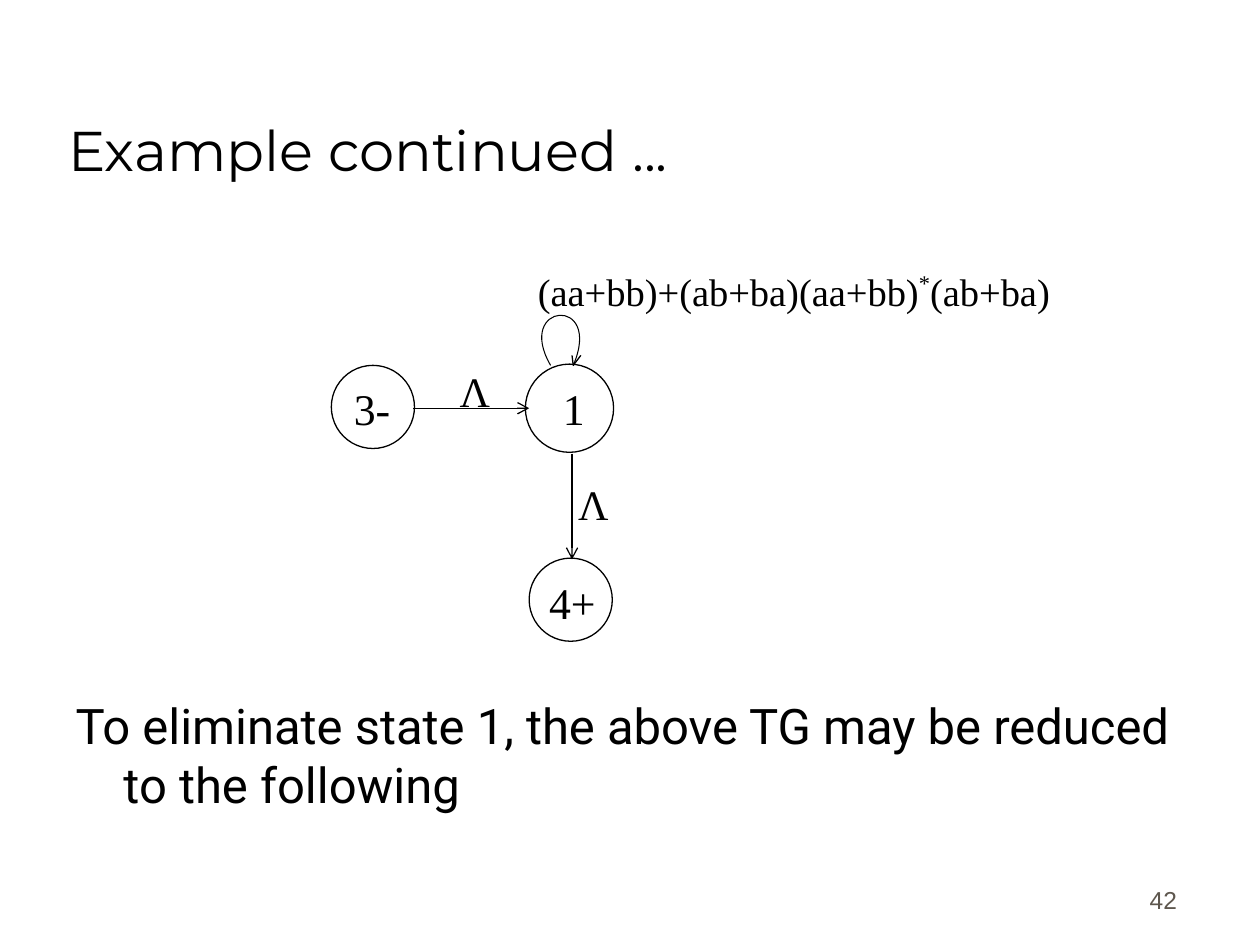
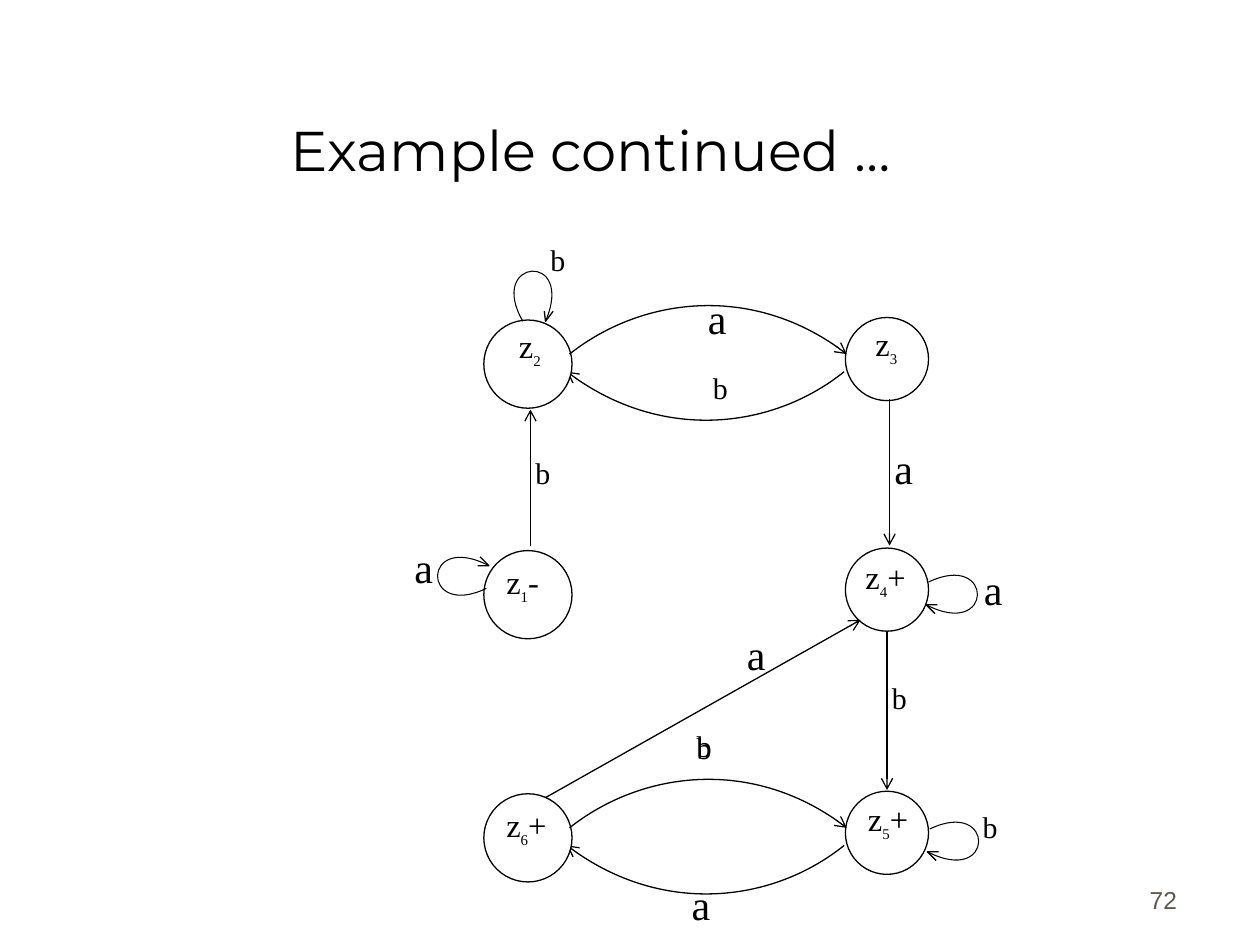
from lxml.etree import SubElement as Sub
from pptx import Presentation
from pptx.dml.color import RGBColor as Rgb
from pptx.enum.shapes import MSO_CONNECTOR as Line, MSO_SHAPE as Shape
from pptx.enum.text import MSO_ANCHOR as Anchor, MSO_AUTO_SIZE as Auto, PP_ALIGN as Align
from pptx.oxml.ns import qn
from pptx.util import Inches, Pt

HUE = {"ink": "000000", "paper": "FFFFFF", "page": "5E574E"}
SERIF = "Times New Roman"

FIRST = {"title": "Example continued ...", "align": Align.LEFT, "page": "42"}
NEXT = {"title": "Example continued …", "align": Align.CENTER, "page": "72"}
NOTE = "To eliminate state 1, the above TG may be reduced to the following"
REGEX = [("(aa+bb)+(ab+ba)(aa+bb)", 0), ("*", 40), ("(ab+ba)", 0)]

STATES = [(4.17, 2.89, 0.7), (4.2, 4.43, 0.66), (2.63, 2.9, 0.66)]
MARKS = [
    ("Λ", 24, 3.55, 2.85, 0.44), ("Λ", 24, 4.49, 3.75, 0.44),
    ("4+", 25, 4.26, 4.52, 0.57), ("3-", 25, 2.71, 2.98, 0.49),
    ("1", 25, 4.37, 2.98, 0.37),
]
STEPS = [((3.28, 3.24), (4.2, 3.24)), ((4.54, 3.6), (4.54, 4.44))]

ROWS = [(2.52, True), (4.35, False), (6.28, True)]
LEFT, RIGHT = 3.84, 6.71
LOW = [(6.7, 0.43), (6.14, 0.88), (5.23, 0.99), (4.5, 0.43)]
HIGH = [(4.52, 0.29), (5.09, -0.16), (6, -0.27), (6.72, 0.29)]
NAMES = [
    ("2", "", 4.02, 2.58), ("3", "", 6.85, 2.56), ("1", "-", 3.92, 4.45),
    ("4", "+", 6.77, 4.41), ("6", "+", 3.92, 6.38), ("5", "+", 6.79, 6.33),
]
EDGES = [
    ((7.06, 3.17), (7.06, 4.33)), ((4.33, 6.33), (6.83, 4.92)),
    ((7.04, 5.02), (7.04, 6.27)), ((4.21, 4.33), (4.21, 3.25)),
]
SPOTS = {
    "a": [(5.39, 6.92), (5.52, 2.27), (7, 3.46), (5.83, 4.94), (7.71, 4.42), (3.19, 4.25)],
    "b": [(5.43, 5.8), (5.43, 5.78), (5.56, 2.94), (6.98, 5.4), (4.15, 3.61),
          (4.27, 1.92), (7.7, 6.42)],
}
SIZES = {"a": (24, 0.75, 0.54, None), "b": (17.1, 1.01, 0.41, 0.8)}

TOP = {"curve": [(-0.18, 0), (-0.47, -0.5), (0.24, -0.56), (0, 0)],
       "head": [(0.06, -0.08), (0, 0), (-0.01, -0.08)]}
SIDE = {"curve": [(0.02, -0.18), (0.54, -0.43), (0.54, 0.28), (0, 0)],
        "head": [(0.07, 0.07), (0, 0), (0.09, 0)]}


def style(font, size, face, hue="ink"):
    font.size, font.name = Pt(size), face
    font.color.rgb = Rgb.from_string(HUE[hue])


def ink(shape, width=0.75, arrow=False):
    shape.line.color.rgb = Rgb.from_string(HUE["ink"])
    shape.line.width = Pt(width)
    if arrow:
        Sub(shape.line._get_or_add_ln(), qn("a:tailEnd"), type="arrow")


def place(shape, x, y, w, h):
    shape.left, shape.top, shape.width, shape.height = map(Inches, (x, y, w, h))


def label(slide, runs, size, x, y, w, h, wrap=True, space=None, small=None):
    frame = slide.shapes.add_textbox(*map(Inches, (x, y, w, h))).text_frame
    frame.word_wrap = wrap
    para = frame.paragraphs[0]
    style(para.font, size, SERIF)
    if space:
        para.line_spacing = space
    for text, base in runs:
        run = para.add_run()
        run.text = text
        style(run.font, small if base and small else size, SERIF)
        if base:
            run.font._element.set("baseline", str(base * 1000))


def circle(slide, x, y, d):
    shape = slide.shapes.add_shape(Shape.OVAL, *map(Inches, (x, y, d, d)))
    shape.shadow.inherit = False
    shape.fill.solid()
    shape.fill.fore_color.rgb = Rgb.from_string(HUE["paper"])
    ink(shape)


def trace(slide, spots, width=0.75, arrow=False):
    spots = [(Inches(x), Inches(y)) for x, y in spots]
    pen = slide.shapes.build_freeform(*spots[0])
    pen.add_line_segments(spots[1:], close=False)
    shape = pen.convert_to_shape()
    shape.shadow.inherit = False
    shape.fill.background()
    ink(shape, width, arrow)
    return shape


def bend(slide, knots, width=0.75, arrow=False):
    spots = []
    for step in range(41):
        t = step / 40
        mix = ((1 - t) ** 3, 3 * t * (1 - t) ** 2, 3 * t * t * (1 - t), t ** 3)
        spots.append([sum(m * k[axis] for m, k in zip(mix, knots)) for axis in (0, 1)])
    shape = trace(slide, spots, width, arrow)
    route = shape._element.find(".//" + qn("a:path"))
    for item in route.findall(qn("a:lnTo")):
        route.remove(item)
    cubic = Sub(route, qn("a:cubicBezTo"))
    for x, y in knots[1:]:
        Sub(cubic, qn("a:pt"), x=str(Inches(x) - shape.left), y=str(Inches(y) - shape.top))


def loop(slide, kind, x, y, sign=1):
    curve, head = ([(x + sign * dx, y + sign * dy) for dx, dy in kind[part]]
                   for part in ("curve", "head"))
    bend(slide, curve, 0.6)
    trace(slide, head)


def link(slide, start, end):
    line = slide.shapes.add_connector(Line.STRAIGHT, *map(Inches, start + end))
    ink(line, arrow=True)
    Sub(line._element.spPr, qn("a:effectLst"))


def begin(deck, layout, info):
    slide = deck.slides.add_slide(deck.slide_layouts[layout])
    title = slide.shapes.title
    place(title, 0.44, 0.25, 8.5, 1.25)
    frame = title.text_frame
    frame.text = info["title"]
    frame.vertical_anchor, frame.auto_size = Anchor.BOTTOM, Auto.NONE
    para = frame.paragraphs[0]
    para.alignment = info["align"]
    style(para.font, 32, "Montserrat")

    frame = slide.shapes.add_textbox(*map(Inches, (7.36, 6.81, 2.08, 0.5))).text_frame
    frame.word_wrap, frame.vertical_anchor = True, Anchor.BOTTOM
    frame.text = info["page"]
    para = frame.paragraphs[0]
    para.alignment = Align.RIGHT
    style(para.font, 14, "Arial", "page")
    return slide


def reduce(deck):
    slide = begin(deck, 1, FIRST)
    body = slide.placeholders[1]
    place(body, 0.5, 5.47, 8.94, 1.15)
    frame = body.text_frame
    frame.text, frame.auto_size = NOTE, Auto.NONE
    para = frame.paragraphs[0]
    props = para._p.get_or_add_pPr()
    props.set("marL", str(Inches(0.38)))
    props.set("indent", str(Inches(-0.38)))
    Sub(props, qn("a:buNone"))
    para.space_before = Pt(0)
    style(para.font, 28, "Roboto")

    for state in STATES:
        circle(slide, *state)
    loop(slide, TOP, 4.55, 2.9)
    for start, end in STEPS:
        link(slide, start, end)
    for text, size, x, y, w in MARKS:
        label(slide, [(text, 0)], size, x, y, w, 0.5, wrap=False)
    label(slide, REGEX, 22, 4.17, 2.08, 4.79, 0.67)


def machine(deck):
    slide = begin(deck, 5, NEXT)
    for y, arcs in ROWS:
        circle(slide, RIGHT, y, 0.66)
        if arcs:
            bend(slide, [(x, y + dy) for x, dy in LOW], arrow=True)
        circle(slide, LEFT, y + 0.02, 0.7)
        if arcs:
            bend(slide, [(x, y + dy) for x, dy in HIGH], arrow=True)
    for start, end in EDGES:
        link(slide, start, end)
    loop(slide, TOP, 4.33, 2.55)
    loop(slide, SIDE, 3.88, 4.49, -1)
    loop(slide, SIDE, 7.35, 4.8)
    loop(slide, SIDE, 7.36, 6.76)
    for sub, sign, x, y in NAMES:
        runs = [("z", 0), (sub, -30)] + ([(sign, 0)] if sign else [])
        label(slide, runs, 18.6, x, y, 0.8, 0.45, space=0.8, small=14.7)
    for text, spots in SPOTS.items():
        size, w, h, space = SIZES[text]
        for x, y in spots:
            label(slide, [(text, 0)], size, x, y, w, h, space=space)


def main():
    deck = Presentation()
    deck.slide_width, deck.slide_height = Inches(10), Inches(7.5)
    reduce(deck)
    machine(deck)
    deck.save("out.pptx")


if __name__ == "__main__":
    main()
